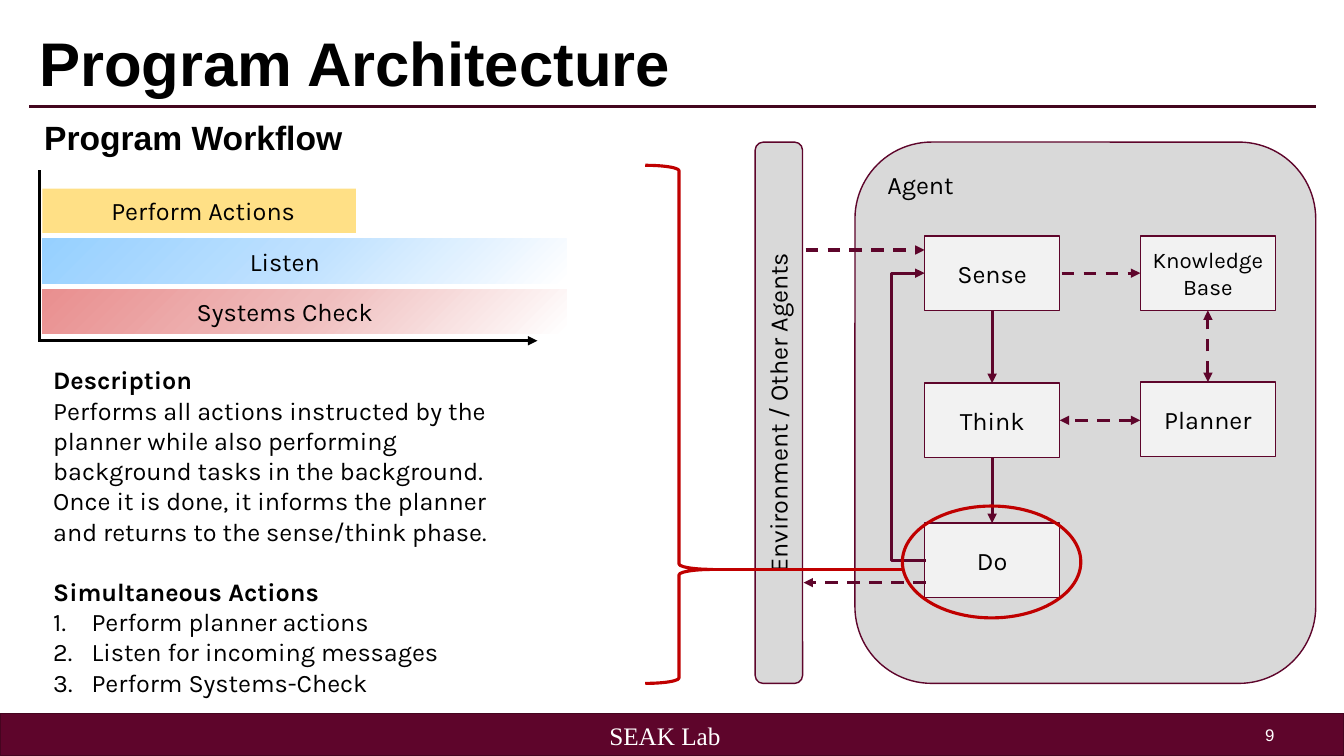
from pptx import Presentation
from pptx import util as u
from pptx import oxml
from pptx.dml.color import RGBColor
from pptx.enum import dml, shapes, text
from pptx.oxml import ns

PX = 9144
MAROON, RED, BLACK, WHITE = "5E052B", "C00000", "000000", "FFFFFF"
PANEL, NODE = "D9D9D9", "F2F2F2"
LEFT, CENTER, RIGHT = text.PP_ALIGN.LEFT, text.PP_ALIGN.CENTER, text.PP_ALIGN.RIGHT
TOP, MIDDLE = text.MSO_ANCHOR.TOP, text.MSO_ANCHOR.MIDDLE
KIND = shapes.MSO_SHAPE


def px(value):
    return u.Emu(round(value * PX))


def color(code):
    return RGBColor.from_string(code)


class Board:
    font = "Karla"
    stroke = 2.25

    def __init__(self, page):
        self.page = page

    def set_words(self, frame, words, size=18, font=None, ink=BLACK, bold=False,
                  align=LEFT, anchor=TOP):
        frame.word_wrap = True
        frame.vertical_anchor = anchor
        frame.text = words
        for para in frame.paragraphs:
            para.alignment = align
            for span in para.runs:
                span.font.size = u.Pt(size)
                span.font.name = font or self.font
                span.font.bold = bold
                span.font.color.rgb = color(ink)

    def label(self, left, top, width, height, words, **style):
        box = self.page.shapes.add_textbox(px(left), px(top), px(width), px(height))
        self.set_words(box.text_frame, words, **style)
        return box.text_frame

    def shape(self, kind, left, top, width, height, fill=None, line=None,
              weight=1, turned=False, words="", **style):
        if turned:
            shift = (width - height) / 2
            left, top, width, height = left + shift, top - shift, height, width
        item = self.page.shapes.add_shape(kind, px(left), px(top), px(width), px(height))
        item.shadow.inherit = False
        if turned:
            item.rotation = 270
        if fill:
            item.fill.solid()
            item.fill.fore_color.rgb = color(fill)
        else:
            item.fill.background()
        if line:
            item.line.color.rgb = color(line)
            item.line.width = u.Pt(weight)
        else:
            item.line.fill.background()
        if words:
            self.set_words(item.text_frame, words, **style)
        return item

    def bar(self, left, top, width, height, stops):
        item = self.shape(KIND.RECTANGLE, left, top, width, height, stops[0], turned=True)
        if len(stops) == 1:
            return
        marks = "".join(
            f'<a:gs pos="{index * 50000}"><a:srgbClr val="{code}"/></a:gs>'
            for index, code in enumerate(stops))
        gradient = oxml.parse_xml(
            f'<a:gradFill {ns.nsdecls("a")} rotWithShape="1"><a:gsLst>{marks}</a:gsLst>'
            '<a:path path="circle"><a:fillToRect r="100000" b="100000"/></a:path></a:gradFill>')
        properties = item._element.spPr
        properties.replace(properties.find(ns.qn("a:solidFill")), gradient)

    def line(self, start, end, ink=MAROON, dashed=False, head=False, tail=False,
             kind=shapes.MSO_CONNECTOR.STRAIGHT):
        item = self.page.shapes.add_connector(kind, *map(px, start + end))
        item.line.color.rgb = color(ink)
        item.line.width = u.Pt(self.stroke)
        if dashed:
            item.line.dash_style = dml.MSO_LINE.DASH
        properties = item._element.spPr
        outline = properties.find(ns.qn("a:ln"))
        for name, wanted in (("headEnd", head), ("tailEnd", tail)):
            if wanted:
                outline.append(oxml.parse_xml(
                    f'<a:{name} {ns.nsdecls("a")} type="triangle"/>'))
        properties.append(oxml.parse_xml(f'<a:effectLst {ns.nsdecls("a")}/>'))
        return item

    def elbow(self, start, end, reach):
        item = self.line(end, start, tail=True, kind=shapes.MSO_CONNECTOR.ELBOW)
        properties = item._element.spPr
        properties.find(ns.qn("a:xfrm")).set("rot", "10800000")
        ratio = round(reach / (start[0] - end[0]) * 100000)
        guides = properties.find(ns.qn("a:prstGeom")).get_or_add_avLst()
        guides.append(oxml.parse_xml(
            f'<a:gd {ns.nsdecls("a")} name="adj1" fmla="val {ratio}"/>'))

    def number(self, para, indent):
        properties = para._p.get_or_add_pPr()
        properties.set("marL", str(px(indent)))
        properties.set("indent", str(-px(indent)))
        properties.append(oxml.parse_xml(
            f'<a:buAutoNum {ns.nsdecls("a")} type="arabicPeriod"/>'))


def draw_frame(board):
    board.shape(KIND.RECTANGLE, 0, 708, 1333, 42, MAROON, "460420")
    board.label(289, 710, 741, 40, "SEAK Lab", font="Times New Roman", ink=WHITE, align=CENTER)
    board.label(931, 709, 343, 40, "9", size=12, font="Arial", ink=WHITE,
                align=RIGHT, anchor=MIDDLE)
    board.line((29, 106), (1305, 106), "43061E")
    title = board.label(29, 26, 1276, 80, "Program Architecture", size=44,
                        font="Arial", bold=True, anchor=MIDDLE)
    title.paragraphs[0].line_spacing = 0.9


def draw_agent(board):
    board.shape(KIND.ROUNDED_RECTANGLE, 848, 141, 457, 537, PANEL, MAROON, words="Agent")
    board.shape(KIND.ROUNDED_RECTANGLE, 749, 141, 47, 537, PANEL, MAROON, turned=True,
                words="Environment / Other Agents", align=CENTER)
    nodes = (("Sense", 917, 234, 18), ("Think", 917, 380, 18), ("Do", 917, 519, 18),
             ("Planner", 1131, 379, 18), ("Knowledge Base", 1131, 234, 16))
    for words, left, top, size in nodes:
        board.shape(KIND.RECTANGLE, left, top, 134, 74, NODE, MAROON, words=words,
                    size=size, align=CENTER, anchor=MIDDLE)
    board.line((984, 308), (984, 380), tail=True)
    board.line((984, 454), (984, 519), tail=True)
    board.line((1131, 417), (1051, 417), dashed=True, head=True, tail=True)
    board.line((1198, 379), (1198, 308), dashed=True, head=True, tail=True)
    board.elbow((918, 556), (917, 271), 34)
    for start, end in (((1053, 271), (1131, 271)), ((918, 578), (797, 578)),
                       ((799, 248), (917, 248))):
        board.line(start, end, dashed=True, tail=True)


def draw_callout(board):
    brace = board.shape(KIND.RIGHT_BRACE, 640, 164, 67, 514, line=RED, weight=board.stroke)
    brace.adjustments[0] = 0.08
    brace.adjustments[1] = 0.78
    board.shape(KIND.OVAL, 895, 502, 177, 111, line=RED, weight=board.stroke)
    board.line((699, 565), (896, 565), RED)


def draw_workflow(board):
    board.line((39, 169), (39, 338), BLACK)
    board.line((38, 338), (533, 338), BLACK, tail=True)
    bars = (("Perform Actions", 311, 99, ("FFE086",)),
            ("Listen", 520, 180, ("96D0FF", "BFE1FF", WHITE)),
            ("Systems Check", 520, 180, ("E98F8F", "EFBCBC", WHITE)))
    for row, (words, width, left, stops) in enumerate(bars):
        top = 187 + 50 * row
        board.bar(42, top, width, 44, stops)
        board.label(left, top + 2, 205, 40, words, align=CENTER)
    board.label(34, 111, 340, 50, "Program Workflow", size=24, font="Arial", bold=True)


def draw_description(board):
    lines = (
        "Description",
        "Performs all actions instructed by the planner while also performing "
        "background tasks in the background.",
        "Once it is done, it informs the planner and returns to the sense/think phase.",
        "Simultaneous Actions",
        "Perform planner actions",
        "Listen for incoming messages",
        "Perform Systems-Check")
    paras = board.label(43, 357, 460, 343, "\n".join(lines)).paragraphs
    for heading in (paras[0], paras[3]):
        heading.runs[0].font.bold = True
    paras[3].space_before = u.Pt(21.5)
    for para in paras[4:]:
        board.number(para, 38)


def main():
    deck = Presentation()
    deck.slide_width, deck.slide_height = px(1333), px(750)
    board = Board(deck.slides.add_slide(deck.slide_layouts[6]))
    draw_frame(board)
    draw_agent(board)
    draw_callout(board)
    draw_workflow(board)
    draw_description(board)
    deck.save("out.pptx")


if __name__ == "__main__":
    main()
